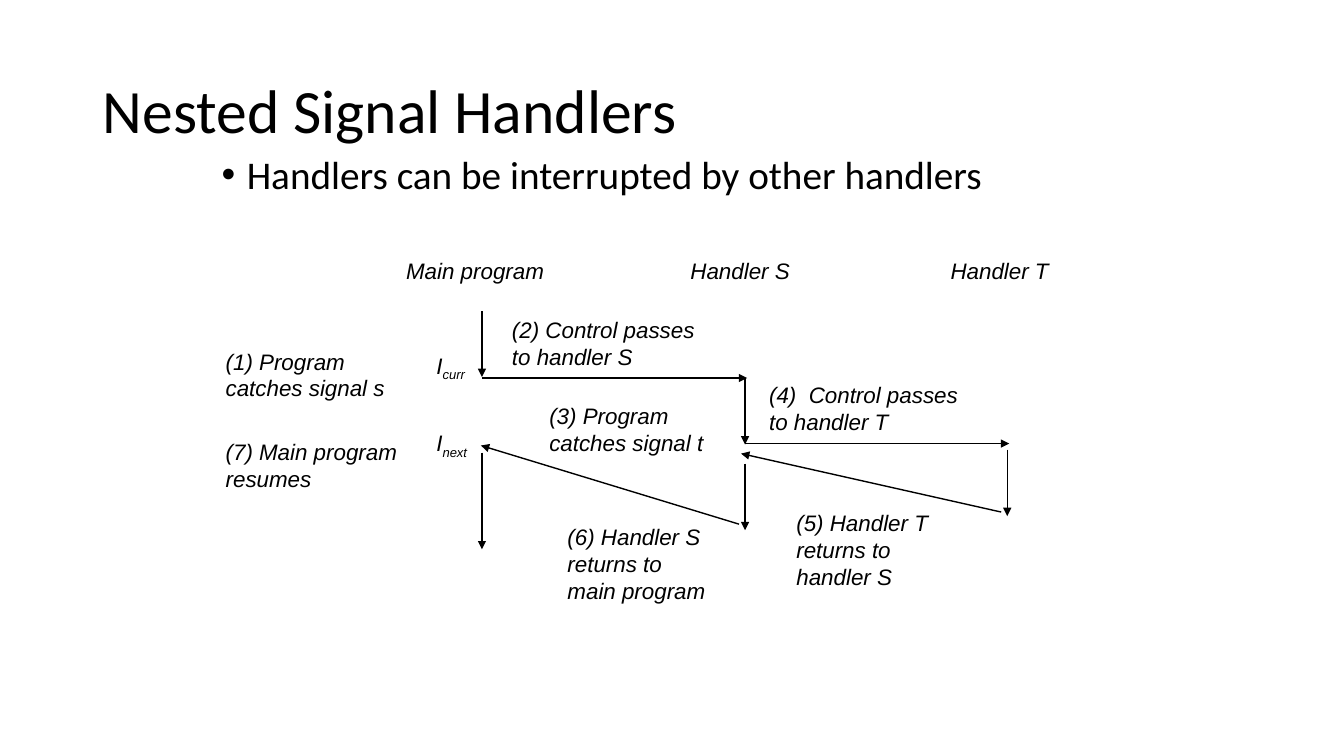
from lxml.etree import SubElement
from pptx import Presentation
from pptx.dml.color import RGBColor
from pptx.enum.shapes import MSO_CONNECTOR
from pptx.enum.text import MSO_ANCHOR, MSO_AUTO_SIZE
from pptx.oxml.ns import qn
from pptx.util import Inches, Pt

COLORS = {"paper": "FFFFFF", "ink": "000000"}
TITLE_FONT = {"name": "Calibri", "size": Pt(44)}
BODY_FONT = {"name": "Calibri", "size": Pt(28)}
LABEL_FONT = {"name": "Arial", "size": Pt(16), "italic": True}
LABEL_FRAME = {"auto_size": MSO_AUTO_SIZE.SHAPE_TO_FIT_TEXT}
SYMBOL_FRAME = {**LABEL_FRAME, "word_wrap": False}


def set_values(target, values):
    """Set each named attribute of the target."""
    for name, value in values.items():
        setattr(target, name, value)


def add_run(paragraph, text, font):
    """Append a run in the ink colour."""
    run = paragraph.add_run()
    run.text = text
    set_values(run.font, font)
    run.font.color.rgb = RGBColor.from_string(COLORS["ink"])
    return run


def add_text(slide, box, lines, font, frame_values):
    """Add a text box with one paragraph per line and return its frame."""
    frame = slide.shapes.add_textbox(*map(Inches, box)).text_frame
    set_values(frame, {"word_wrap": True, **frame_values})
    for index, line in enumerate(lines):
        paragraph = frame.add_paragraph() if index else frame.paragraphs[0]
        add_run(paragraph, line, font)
    return frame


def add_arrow(slide, start, end):
    """Add a thin line with a triangular head at its end."""
    connector = slide.shapes.add_connector(
        MSO_CONNECTOR.STRAIGHT, *map(Inches, (*start, *end)))
    connector.line.width = Pt(1)
    connector.line.color.rgb = RGBColor.from_string(COLORS["ink"])
    SubElement(connector.line._get_or_add_ln(), qn("a:tailEnd"), type="triangle")
    SubElement(connector._element.spPr, qn("a:effectLst"))


def add_title(slide, box):
    """Add the slide title, centred vertically in its box."""
    frame = add_text(slide, box, ["Nested Signal Handlers"], TITLE_FONT,
                     {"vertical_anchor": MSO_ANCHOR.MIDDLE})
    frame.paragraphs[0].line_spacing = 0.9


def add_bullet(slide, box):
    """Add the bulleted statement with a hanging indent."""
    frame = add_text(slide, box, ["Handlers can be interrupted by other handlers"],
                     BODY_FONT, {})
    paragraph = frame.paragraphs[0]
    set_values(paragraph, {"line_spacing": 0.9, "space_before": Pt(10)})
    properties = paragraph._p.get_or_add_pPr()
    properties.set("marL", str(Inches(0.25)))
    properties.set("indent", str(Inches(-0.25)))
    SubElement(properties, qn("a:buFont"), typeface="Arial")
    SubElement(properties, qn("a:buChar"), char="•")


def add_diagram(slide, left, top):
    """Draw the control flow between the main program and both handlers."""
    main, handler_s, handler_t = 2.78, 5.39, 7.99
    arrows = [
        ((main, 0.59), (main, 1.24)),
        ((main, 1.25), (handler_s + 0.02, 1.25)),
        ((handler_s, 1.25), (handler_s, 1.91)),
        ((handler_s, 1.9), (handler_t + 0.02, 1.9)),
        ((handler_t, 1.96), (handler_t, 2.62)),
        ((handler_t - 0.06, 2.58), (handler_s - 0.04, 2)),
        ((handler_s, 2.1), (handler_s, 2.76)),
        ((handler_s - 0.06, 2.7), (main - 0.01, 1.92)),
        ((main, 1.99), (main, 2.95)),
    ]
    for start, end in arrows:
        add_arrow(slide, *((left + x, top + y) for x, y in (start, end)))

    labels = [
        (1.93, 0, 1.74, 0.37, ["Main program"]),
        (4.75, 0, 1.34, 0.37, ["Handler S"]),
        (7.33, 0, 1.34, 0.37, ["Handler T"]),
        (0.14, 0.9, 2.1, 0.64, ["(1) Program catches signal s"]),
        (2.98, 0.59, 2.24, 0.64, ["(2) Control passes to handler S"]),
        (3.35, 1.44, 2.03, 0.64, ["(3) Program catches signal t"]),
        (5.53, 1.23, 2.31, 0.64, ["(4)  Control passes to handler T"]),
        (5.8, 2.5, 1.62, 0.91, ["(5) Handler T", "returns to handler S"]),
        (3.53, 2.64, 1.62, 0.91, ["(6) Handler S", "returns to main program"]),
        (0.14, 1.8, 2.1, 0.64, ["(7) Main program resumes"]),
    ]
    for x, y, width, height, lines in labels:
        add_text(slide, (left + x, top + y, width, height), lines,
                 LABEL_FONT, LABEL_FRAME)

    for y, width, subscript in ((0.94, 0.52, "curr"), (1.71, 0.55, "next")):
        frame = add_text(slide, (left + 2.23, top + y, width, 0.37), ["I"],
                         LABEL_FONT, SYMBOL_FRAME)
        run = add_run(frame.paragraphs[0], subscript, LABEL_FONT)
        run._r.get_or_add_rPr().set("baseline", "-25000")


def build():
    """Build the slide and save the presentation."""
    presentation = Presentation()
    set_values(presentation, {"slide_width": Inches(13.33), "slide_height": Inches(7.5)})
    slide = presentation.slides.add_slide(presentation.slide_layouts[6])
    slide.background.fill.solid()
    slide.background.fill.fore_color.rgb = RGBColor.from_string(COLORS["paper"])
    add_title(slide, (0.92, 0.4, 11.5, 1.45))
    add_bullet(slide, (2.1, 1.49, 8.64, 0.68))
    add_diagram(slide, 2, 2.5)
    presentation.save("out.pptx")


build()
